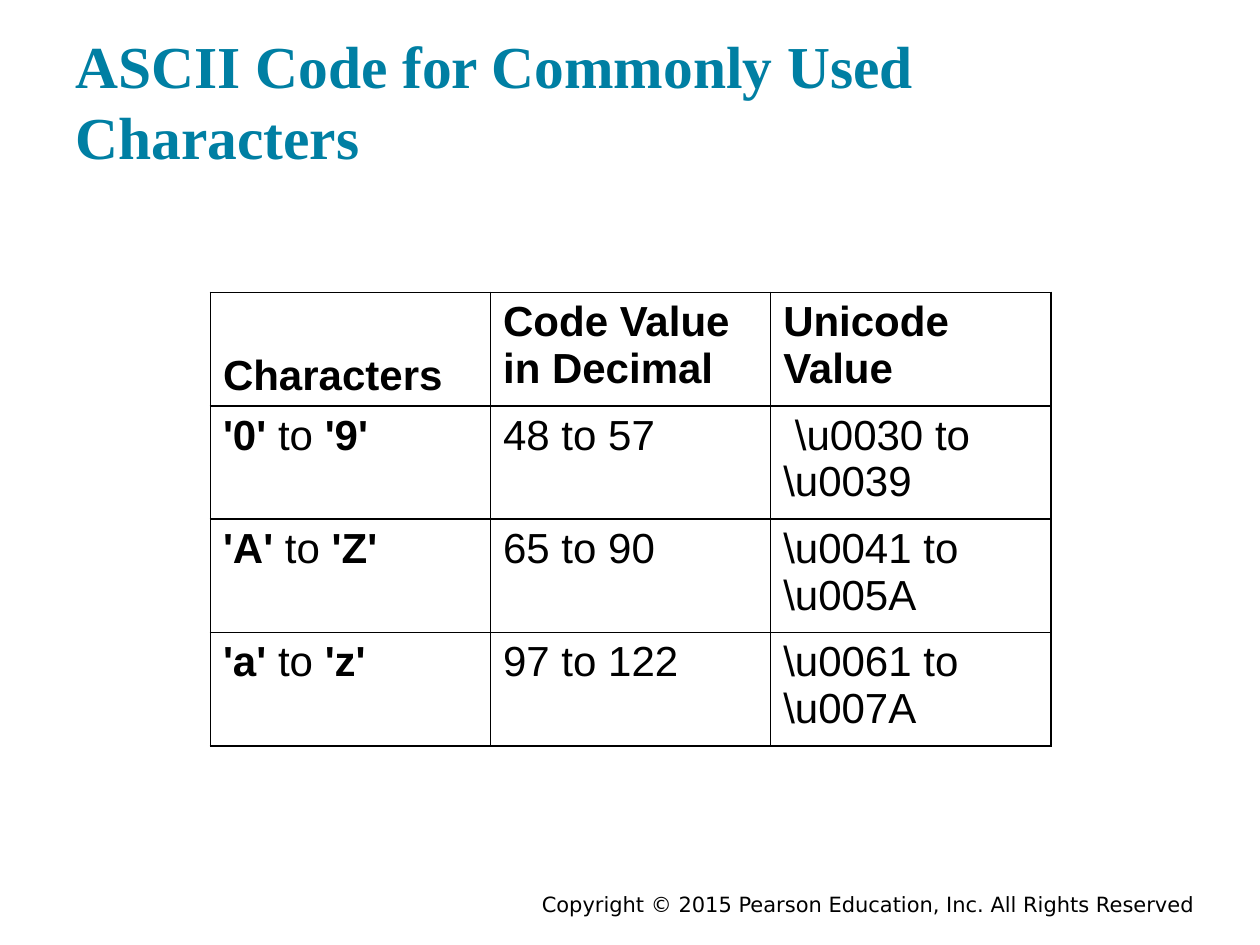
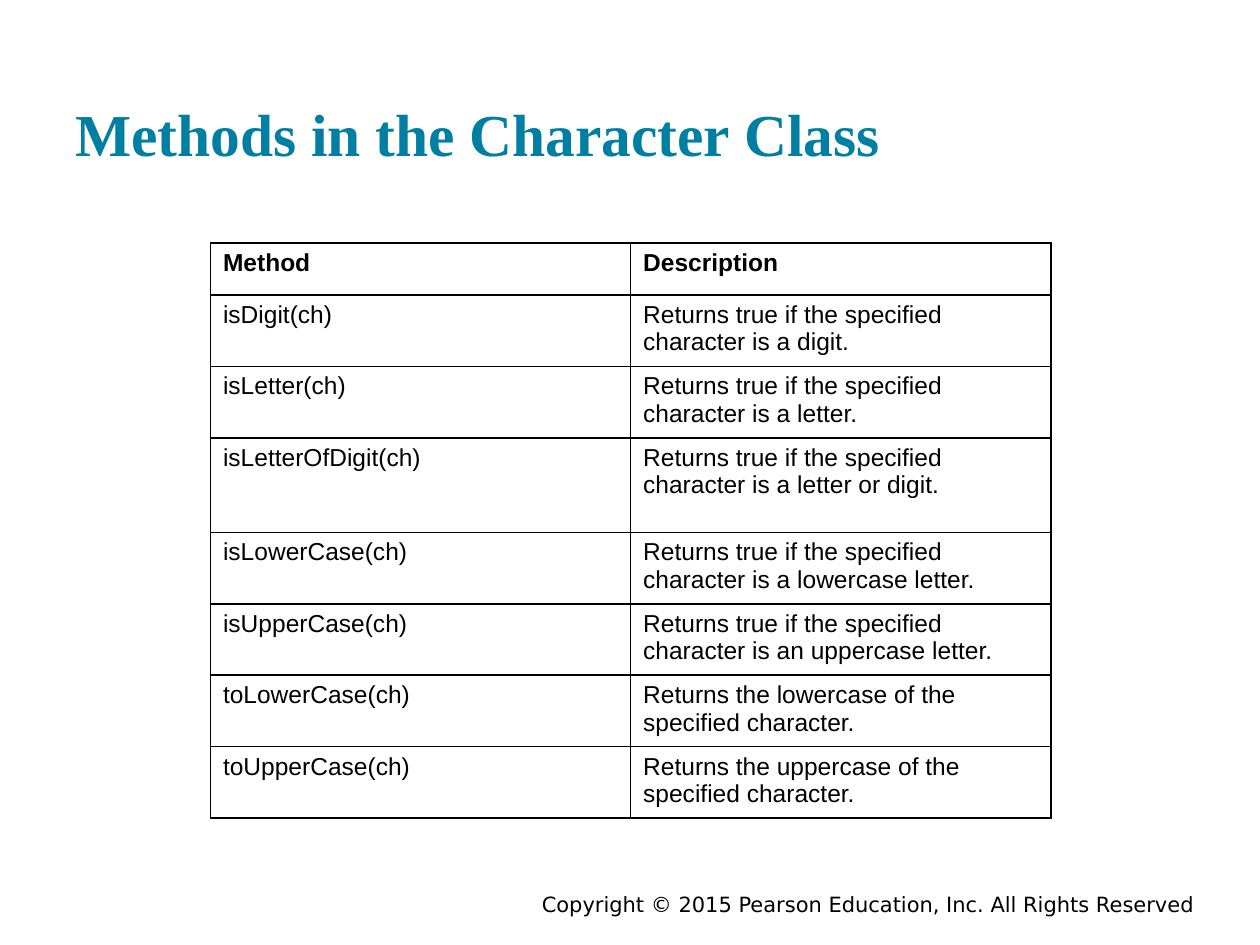
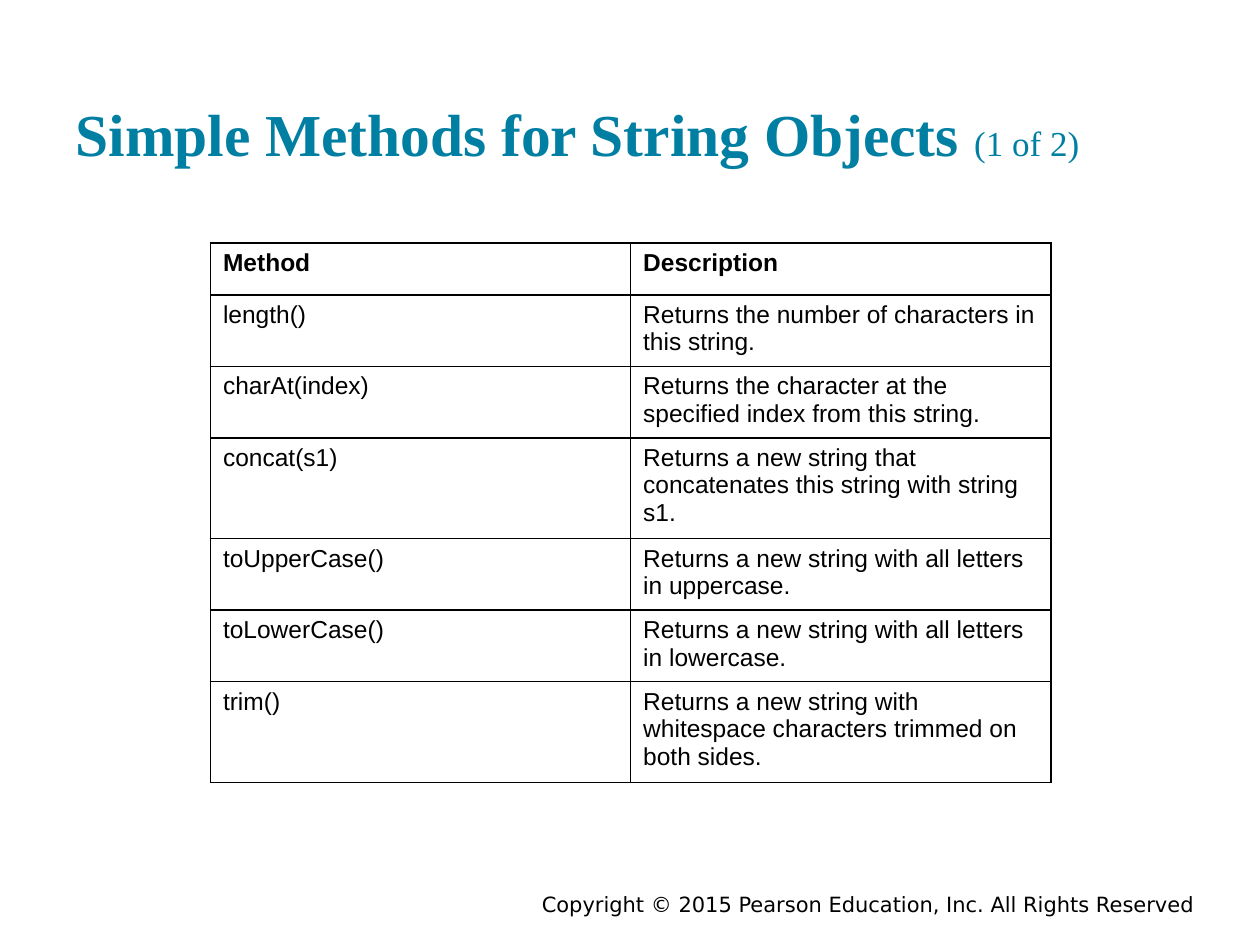
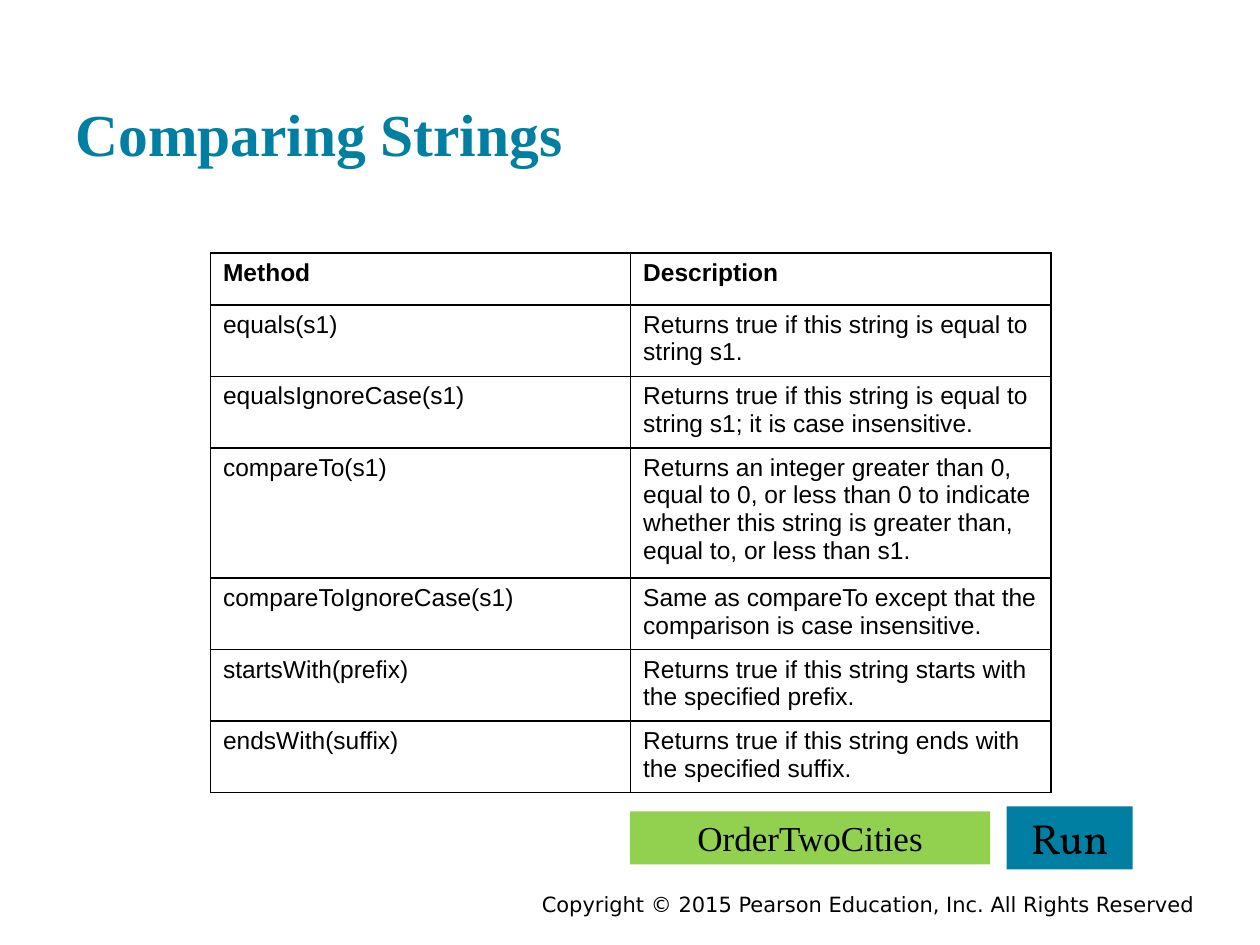
"""Builds four slides of reference tables on Java characters and strings."""
from lxml import etree
from pptx import Presentation
from pptx import util as u
from pptx.dml.color import RGBColor
from pptx.enum import shapes, text
from pptx.oxml import ns

COLORS = {"title": "007FA3", "ink": "000000", "code": "92D050", "run": "007FA3"}
FOOTER = "Copyright © 2015 Pearson Education, Inc. All Rights Reserved"
TABLE_LEFT, TABLE_WIDTH, ROW_HEIGHT = 1.67, 6.67, 0.41
HEADINGS = ("Method", "Description")

SLIDES = [
    {
        "title": "ASCII Code for Commonly Used Characters", "title_top": 0.26,
        "table_top": 2.32, "table_height": 3.6, "size": 24,
        "rows": [
            ("Characters", "Code Value in Decimal", "Unicode Value"),
            ("*'0'* to *'9'*", "48 to 57", r" \u0030 to \u0039"),
            ("*'A'* to *'Z'*", "65 to 90", r"\u0041 to \u005A"),
            ("*'a'* to *'z'*", "97 to 122", r"\u0061 to \u007A"),
        ],
    },
    {
        "title": "Methods in the Character Class", "title_top": 0.24,
        "table_top": 1.93, "table_height": 4.37, "size": 14, "tall_rows": {3: 0.75},
        "rows": [
            HEADINGS,
            ("isDigit(ch)", "Returns true if the specified character is a digit."),
            ("isLetter(ch)", "Returns true if the specified character is a letter."),
            ("isLetterOfDigit(ch)", "Returns true if the specified character is a letter or digit."),
            ("isLowerCase(ch)", "Returns true if the specified character is a lowercase letter."),
            ("isUpperCase(ch)", "Returns true if the specified character is an uppercase letter."),
            ("toLowerCase(ch)", "Returns the lowercase of the specified character."),
            ("toUpperCase(ch)", "Returns the uppercase of the specified character."),
        ],
    },
    {
        "title": "Simple Methods for String Objects ", "part": "(1 of 2)", "title_top": 0.24,
        "table_top": 1.93, "table_height": 4.27, "size": 14,
        "rows": [
            HEADINGS,
            ("length()", "Returns the number of characters in this string."),
            ("charAt(index)", "Returns the character at the specified index from this string."),
            ("concat(s1)", "Returns a new string that concatenates this string with string s1."),
            ("toUpperCase()", "Returns a new string with all letters in uppercase."),
            ("toLowerCase()", "Returns a new string with all letters in lowercase."),
            ("trim()", "Returns a new string with whitespace characters trimmed on both sides."),
        ],
    },
    {
        "title": "Comparing Strings", "title_top": 0.24,
        "table_top": 2.01, "table_height": 4.27, "size": 14,
        "rows": [
            HEADINGS,
            ("equals(s1)", "Returns true if this string is equal to string s1."),
            ("equalsIgnoreCase(s1)",
             "Returns true if this string is equal to string s1; it is case insensitive."),
            ("compareTo(s1)",
             "Returns an integer greater than 0, equal to 0, or less than 0 to indicate "
             "whether this string is greater than, equal to, or less than s1."),
            ("compareToIgnoreCase(s1)",
             "Same as compareTo except that the comparison is case insensitive."),
            ("startsWith(prefix)", "Returns true if this string starts with the specified prefix."),
            ("endsWith(suffix)", "Returns true if this string ends with the specified suffix."),
        ],
        "buttons": [
            ("OrderTwoCities", (5, 6.44, 2.86, 0.42), "code", "Times New Roman", 20),
            ("Run", (7.99, 6.4, 1, 0.5), "run", "Vollkorn", 24),
        ],
    },
]


def style(span, name, size, color="ink", bold=False):
    span.font.name = name
    span.font.size = u.Pt(size)
    span.font.bold = bold
    span.font.color.rgb = RGBColor.from_string(COLORS[color])


def add_borders(cell):
    properties = cell._tc.get_or_add_tcPr()
    for side in ("lnL", "lnR", "lnT", "lnB"):
        line = etree.SubElement(properties, ns.qn("a:" + side), w=str(u.Pt(1)))
        fill = etree.SubElement(line, ns.qn("a:solidFill"))
        etree.SubElement(fill, ns.qn("a:srgbClr"), val=COLORS["ink"])


deck = Presentation()
deck.slide_width, deck.slide_height = u.Inches(10), u.Inches(7.5)

for content in SLIDES:
    page = deck.slides.add_slide(deck.slide_layouts[5])

    footer = page.shapes.add_textbox(u.Inches(1.75), u.Inches(7.03), u.Inches(7.83), u.Inches(0.22))
    footer.text_frame.word_wrap = True
    footer.text_frame.text = FOOTER
    para = footer.text_frame.paragraphs[0]
    para.alignment = text.PP_ALIGN.RIGHT
    style(para.runs[0], "DejaVu Sans", 12)

    title = page.shapes.title
    title.left, title.top = u.Inches(0.5), u.Inches(content["title_top"])
    title.width, title.height = u.Inches(9), u.Inches(1.2)
    frame = title.text_frame
    frame.auto_size = text.MSO_AUTO_SIZE.NONE
    frame.vertical_anchor = text.MSO_ANCHOR.BOTTOM
    frame.margin_left = frame.margin_right = u.Inches(0.1)
    frame.margin_top = frame.margin_bottom = u.Inches(0.1)
    frame.text = content["title"]
    para = frame.paragraphs[0]
    para.alignment = text.PP_ALIGN.LEFT
    style(para.runs[0], "Times New Roman", 34, "title", True)
    if "part" in content:
        span = para.add_run()
        span.text = content["part"]
        style(span, "Times New Roman", 20, "title")

    rows = content["rows"]
    holder = page.shapes.add_table(
        len(rows), len(rows[0]), u.Inches(TABLE_LEFT), u.Inches(content["table_top"]),
        u.Inches(TABLE_WIDTH), u.Inches(content["table_height"]))
    table = holder.table
    table.first_row = table.horz_banding = False
    for row_index, values in enumerate(rows):
        height = content.get("tall_rows", {}).get(row_index, ROW_HEIGHT)
        table.rows[row_index].height = u.Inches(height)
        for column_index, value in enumerate(values):
            cell = table.cell(row_index, column_index)
            add_borders(cell)
            cell.fill.background()
            if value == "Characters":
                cell.vertical_anchor = text.MSO_ANCHOR.BOTTOM
            para = cell.text_frame.paragraphs[0]
            for piece_index, piece in enumerate(value.split("*")):
                if piece:
                    span = para.add_run()
                    span.text = piece
                    style(span, "Arial", content["size"], bold=row_index == 0 or piece_index % 2 == 1)
    holder.height = u.Inches(content["table_height"])

    for label, place, color, font, size in content.get("buttons", []):
        button = page.shapes.add_shape(shapes.MSO_SHAPE.RECTANGLE, *map(u.Inches, place))
        button.shadow.inherit = False
        button.fill.solid()
        button.fill.fore_color.rgb = RGBColor.from_string(COLORS[color])
        button.line.fill.background()
        button.text_frame.text = label
        para = button.text_frame.paragraphs[0]
        para.alignment = text.PP_ALIGN.CENTER
        style(para.runs[0], font, size)

deck.save("out.pptx")
